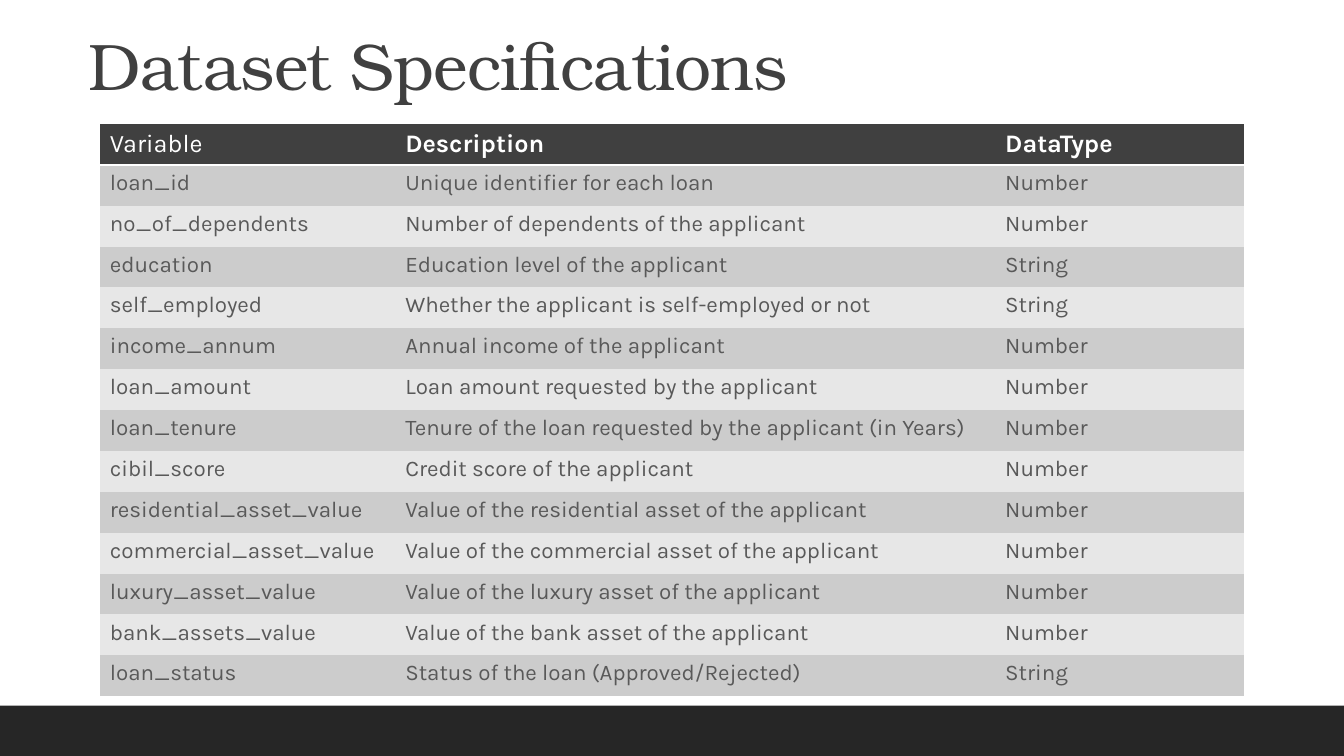
from lxml import etree
from pptx import Presentation
from pptx.dml.color import RGBColor
from pptx.enum.shapes import MSO_SHAPE as Shape
from pptx.enum.text import MSO_ANCHOR as Anchor
from pptx.oxml.ns import qn
from pptx.util import Inches, Pt

COLORS = {
    "title": "404040", "header": "404040", "footer": "262626", "white": "FFFFFF",
    "body": "595959", "odd": "CCCCCC", "even": "E7E7E7",
}
TITLE_FONT, BODY_FONT = "TeX Gyre Bonum", "Karla"
PLAIN_STYLE = "{2D5ABB26-0587-4C30-8999-92F81FD0307C}"
COLUMN_WIDTHS = (2.93, 5.95, 2.47)
HEADINGS = ("Variable", "Description", "DataType")
VARIABLES = [
    ("loan_id", "Unique identifier for each loan", "Number"),
    ("no_of_dependents", "Number of dependents of the applicant", "Number"),
    ("education", "Education level of the applicant", "String"),
    ("self_employed", "Whether the applicant is self-employed or not", "String"),
    ("income_annum", "Annual income of the applicant", "Number"),
    ("loan_amount", "Loan amount requested by the applicant", "Number"),
    ("loan_tenure", "Tenure of the loan requested by the applicant (in Years)", "Number"),
    ("cibil_score", "Credit score of the applicant", "Number"),
    ("residential_asset_value", "Value of the residential asset of the applicant", "Number"),
    ("commercial_asset_value", "Value of the commercial asset of the applicant", "Number"),
    ("luxury_asset_value", "Value of the luxury asset of the applicant", "Number"),
    ("bank_assets_value", "Value of the bank asset of the applicant", "Number"),
    ("loan_status", "Status of the loan (Approved/Rejected)", "String"),
]


def rgb(name):
    return RGBColor.from_string(COLORS[name])


def write(frame, text, *, size, color, font=BODY_FONT, bold=False, line_spacing=None, tracking=None):
    """Put one formatted paragraph in a text frame; tracking is in points."""
    para = frame.paragraphs[0]
    para.line_spacing = line_spacing
    span = para.add_run()
    span.text = text
    span.font.name, span.font.size, span.font.bold = font, Pt(size), bold
    span.font.color.rgb = rgb(color)
    if tracking is not None:
        span.font._element.set("spc", str(round(tracking * 100)))


def add_footer(page, left, top, width, height):
    bar = page.shapes.add_shape(Shape.RECTANGLE, *map(Inches, (left, top, width, height)))
    bar.shadow.inherit = False
    bar.fill.solid()
    bar.fill.fore_color.rgb = rgb("footer")
    bar.line.fill.background()


def add_title(page, text, left, top, width, height):
    box = page.shapes.add_textbox(*map(Inches, (left, top, width, height)))
    box.text_frame.word_wrap = True
    box.text_frame.vertical_anchor = Anchor.BOTTOM
    write(box.text_frame, text, size=47, color="title", font=TITLE_FONT,
          line_spacing=0.9, tracking=-0.5)


def fill_cell(cell, text, fill, **text_format):
    cell.fill.solid()
    cell.fill.fore_color.rgb = rgb(fill)
    write(cell.text_frame, text, **text_format)


def underline_cell(cell, color, points):
    """Draw the bottom border of a cell."""
    border = etree.Element(qn("a:lnB"), w=str(Pt(points)))
    paint = etree.SubElement(border, qn("a:solidFill"))
    etree.SubElement(paint, qn("a:srgbClr"), val=COLORS[color])
    cell._tc.get_or_add_tcPr().insert(0, border)


def add_variable_table(page, left, top, width, height):
    frame = page.shapes.add_table(len(VARIABLES) + 1, len(HEADINGS),
                                  *map(Inches, (left, top, width, height)))
    table = frame.table
    table.first_row = table.horz_banding = False
    table._tbl.tblPr.find(qn("a:tableStyleId")).text = PLAIN_STYLE
    for column, column_width in zip(table.columns, COLUMN_WIDTHS):
        column.width = Inches(column_width)
    for index, heading in enumerate(HEADINGS):
        cell = table.cell(0, index)
        fill_cell(cell, heading, "header", size=18, color="white", bold=index > 0)
        underline_cell(cell, "white", 2)
    for row, values in enumerate(VARIABLES, start=1):
        for index, value in enumerate(values):
            fill_cell(table.cell(row, index), value, "odd" if row % 2 else "even",
                      size=16, color="body")


def main():
    deck = Presentation()
    deck.slide_width, deck.slide_height = Inches(13.33), Inches(7.5)
    page = deck.slides.add_slide(deck.slide_layouts[6])
    add_footer(page, 0, 7, 13.33, 0.5)
    add_title(page, "Dataset Specifications", 0.78, 0.09, 11, 1)
    add_variable_table(page, 0.99, 1.23, sum(COLUMN_WIDTHS), 5.68)
    deck.save("out.pptx")


if __name__ == "__main__":
    main()
